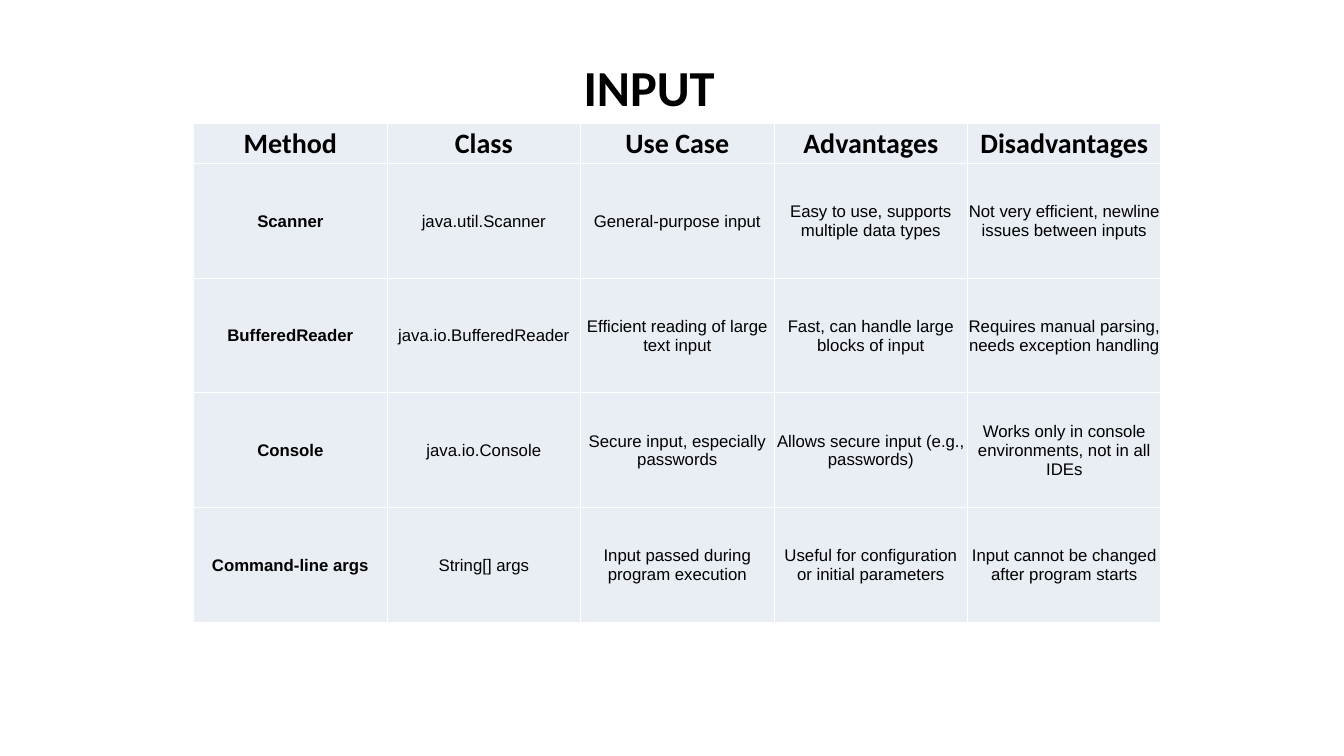
import pptx
import pptx.dml.color
import pptx.enum.text
import pptx.oxml
import pptx.oxml.ns
import pptx.util

Cm, Pt = pptx.util.Cm, pptx.util.Pt
MIDDLE = pptx.enum.text.MSO_ANCHOR.MIDDLE
CENTER = pptx.enum.text.PP_ALIGN.CENTER

COLORS = {"text": "000000", "cell": "E9EDF4", "border": "FFFFFF"}
FONTS = {
    "title": {"name": "Calibri", "size": Pt(36), "bold": True},
    "header": {"name": "Calibri", "size": Pt(20), "bold": True},
    "method": {"name": "Arial", "size": Pt(12), "bold": True},
    "detail": {"name": "Arial", "size": Pt(12), "bold": False},
}
CELL = {
    "vertical_anchor": MIDDLE,
    "margin_left": Cm(0.02),
    "margin_right": Cm(0.02),
    "margin_top": Cm(0.02),
    "margin_bottom": 0,
}
HEADER_HEIGHT = Cm(1.02)
ROWS = [
    ["Method", "Class", "Use Case", "Advantages", "Disadvantages"],
    ["Scanner", "java.util.Scanner", "General-purpose input",
     "Easy to use, supports multiple data types",
     "Not very efficient, newline issues between inputs"],
    ["BufferedReader", "java.io.BufferedReader",
     "Efficient reading of large text input",
     "Fast, can handle large blocks of input",
     "Requires manual parsing, needs exception handling"],
    ["Console", "java.io.Console", "Secure input, especially passwords",
     "Allows secure input (e.g., passwords)",
     "Works only in console environments, not in all IDEs"],
    ["Command-line args", "String[] args",
     "Input passed during program execution",
     "Useful for configuration or initial parameters",
     "Input cannot be changed after program starts"],
]


def set_attrs(obj, values):
    for name, value in values.items():
        setattr(obj, name, value)


def rgb(name):
    return pptx.dml.color.RGBColor.from_string(COLORS[name])


def write(tf, text, style):
    """Put one centred line of text in the frame, in a style from FONTS."""
    p = tf.paragraphs[0]
    p.alignment = CENTER
    r = p.add_run()
    r.text = text
    set_attrs(r.font, FONTS[style])
    r.font.color.rgb = rgb("text")


def add_borders(cell):
    tcPr = cell._tc.get_or_add_tcPr()
    for side in "LRTB":
        tcPr.append(pptx.oxml.parse_xml(
            f'<a:ln{side} {pptx.oxml.ns.nsdecls("a")} w="{Pt(1)}"><a:solidFill>'
            f'<a:srgbClr val="{COLORS["border"]}"/></a:solidFill></a:ln{side}>'))


def place_title(slide, text, left, top, width, height):
    sp = slide.shapes.title
    set_attrs(sp, {"left": left, "top": top, "width": width, "height": height})
    tf = sp.text_frame
    set_attrs(tf, {
        "word_wrap": False,
        "vertical_anchor": MIDDLE,
        "auto_size": pptx.enum.text.MSO_AUTO_SIZE.SHAPE_TO_FIT_TEXT,
    })
    write(tf, text, "title")


def add_comparison(slide, rows, left, top, width, height):
    """Add the table: a low header row, then equal rows and columns."""
    table = slide.shapes.add_table(
        len(rows), len(rows[0]), left, top, width, height).table
    for column in table.columns:
        column.width = width // len(rows[0])
    for i, texts in enumerate(rows):
        table.rows[i].height = (
            (height - HEADER_HEIGHT) // (len(rows) - 1) if i else HEADER_HEIGHT)
        for j, text in enumerate(texts):
            cell = table.cell(i, j)
            set_attrs(cell, CELL)
            add_borders(cell)
            cell.fill.solid()
            cell.fill.fore_color.rgb = rgb("cell")
            style = "header" if i == 0 else "method" if j == 0 else "detail"
            write(cell.text_frame, text, style)


def main():
    prs = pptx.Presentation()
    prs.slide_width, prs.slide_height = Cm(33.87), Cm(19.05)
    slide = prs.slides.add_slide(prs.slide_layouts.get_by_name("Title Only"))
    place_title(slide, "INPUT", Cm(14.43), Cm(1.27), Cm(3.86), Cm(1.8))
    add_comparison(slide, ROWS, Cm(4.88), Cm(3.1), Cm(24.38), Cm(12.58))
    prs.save("out.pptx")


if __name__ == "__main__":
    main()
